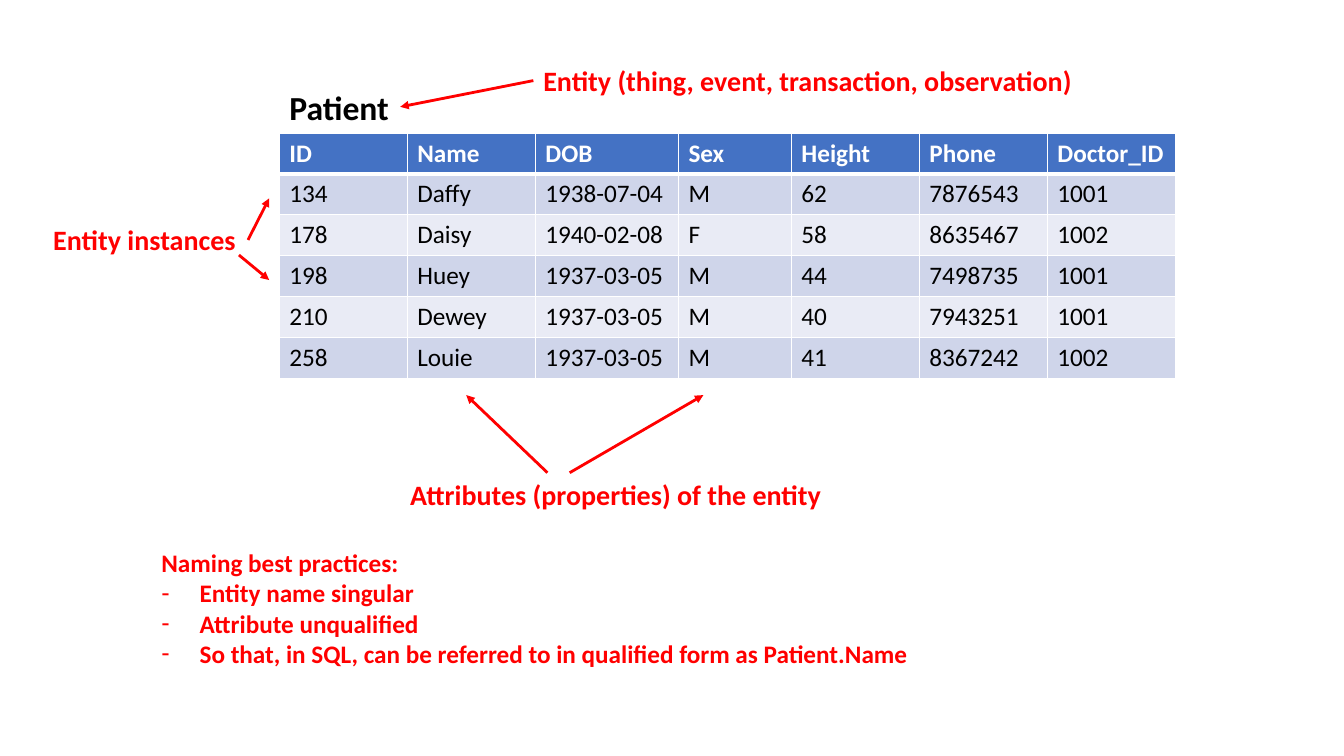
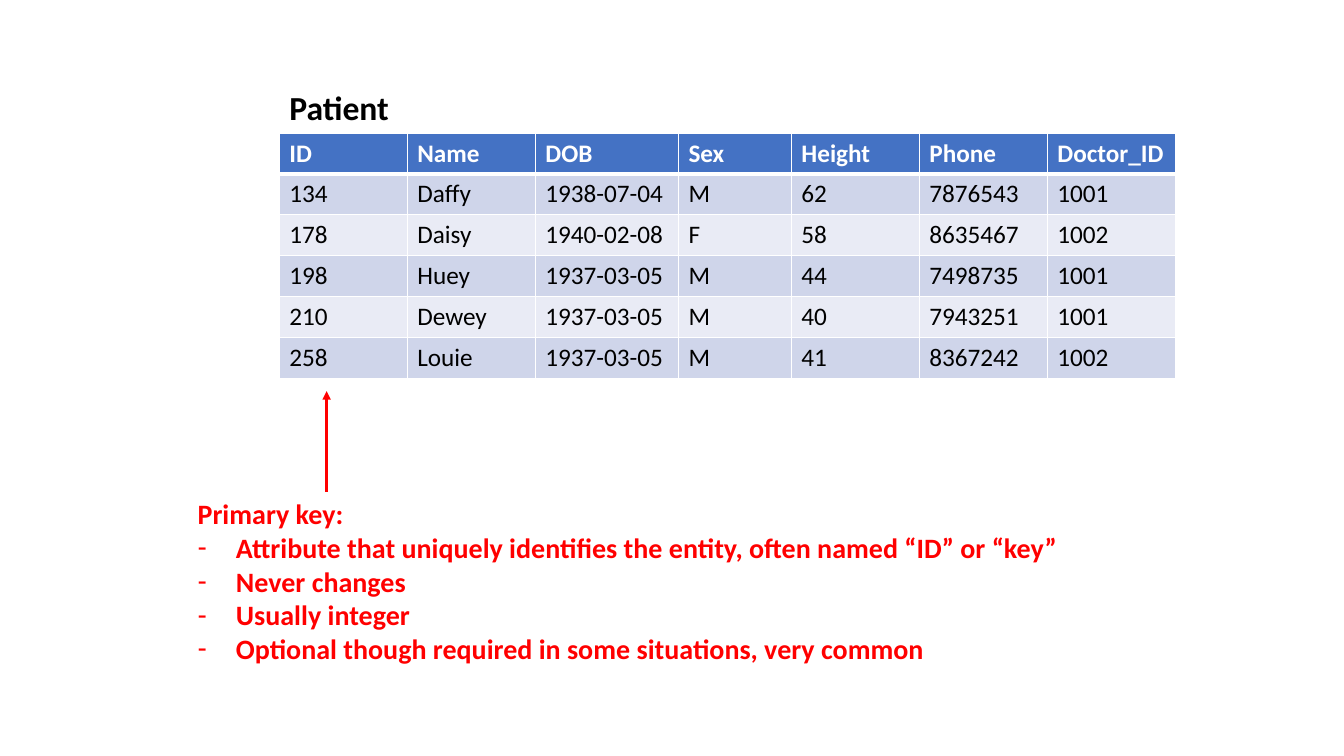
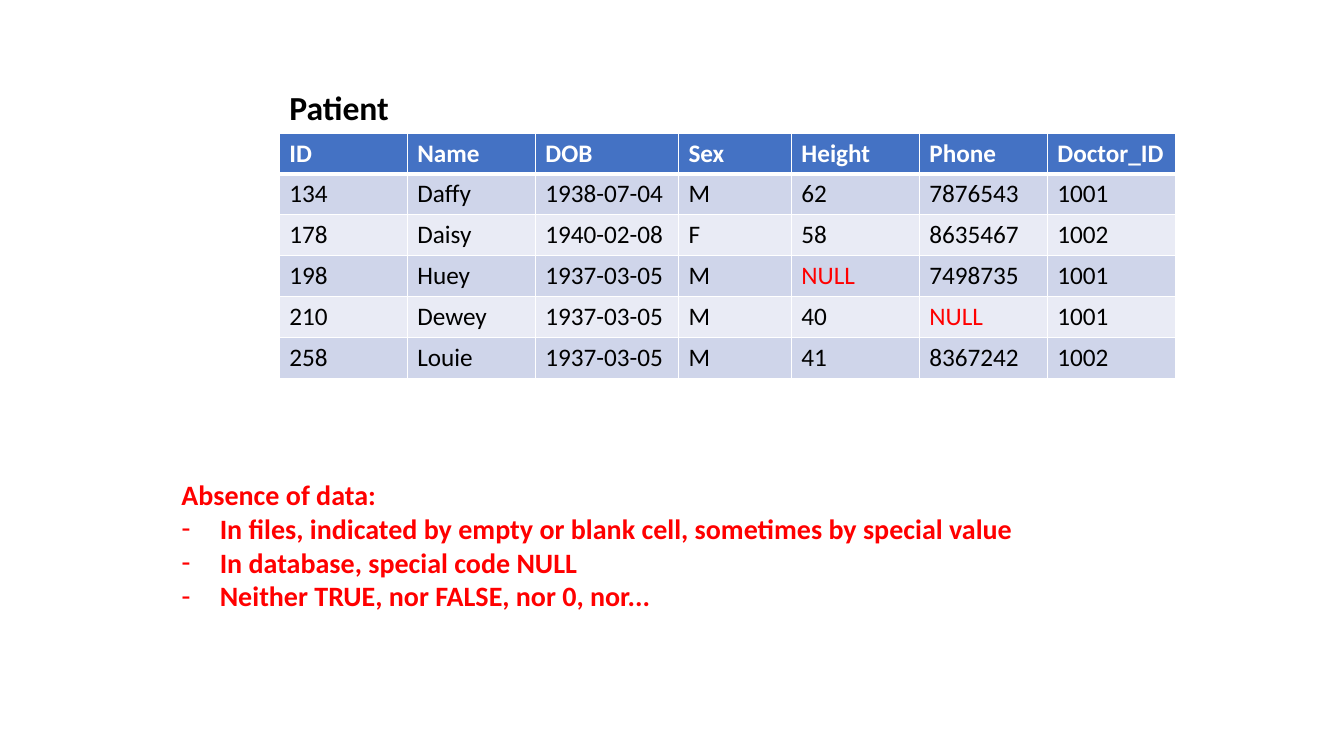
from dataclasses import dataclass

from lxml.etree import SubElement
from pptx import Presentation
from pptx.dml.color import RGBColor
from pptx.enum.shapes import MSO_CONNECTOR
from pptx.enum.text import MSO_ANCHOR, MSO_AUTO_SIZE, PP_ALIGN
from pptx.oxml.ns import qn
from pptx.util import Inches, Pt

FONT = "Calibri"
BLACK, WHITE, RED = "000000", "FFFFFF", "FF0000"
HEADER_FILL = "4472C4"
BAND_FILLS = ("CFD5EA", "E9EBF5")
LIST_INDENT = 0.38

COLUMN_WIDTHS = (1.27, 1.27, 1.42, 1.12, 1.27, 1.27, 1.27)
PATIENTS = (
    ("ID", "Name", "DOB", "Sex", "Height", "Phone", "Doctor_ID"),
    ("134", "Daffy", "1938-07-04", "M", "62", "7876543", "1001"),
    ("178", "Daisy", "1940-02-08", "F", "58", "8635467", "1002"),
    ("198", "Huey", "1937-03-05", "M", "44", "7498735", "1001"),
    ("210", "Dewey", "1937-03-05", "M", "40", "7943251", "1001"),
    ("258", "Louie", "1937-03-05", "M", "41", "8367242", "1002"),
)


@dataclass(frozen=True)
class Box:
    left: float
    top: float
    width: float
    height: float

    @property
    def right(self):
        return self.left + self.width

    @property
    def bottom(self):
        return self.top + self.height

    def lengths(self):
        return [Inches(n) for n in (self.left, self.top, self.width, self.height)]


TABLE = Box(2.77, 1.32, sum(COLUMN_WIDTHS), 2.43)
ROW_HEIGHT = TABLE.height / len(PATIENTS)
TITLE = Box(TABLE.left, 0.81, 1.2, 0.5)


def color(hex_string):
    return RGBColor.from_string(hex_string)


def column_x(name, share):
    index = PATIENTS[0].index(name)
    return TABLE.left + sum(COLUMN_WIDTHS[:index]) + share * COLUMN_WIDTHS[index]


def row_y(row, share):
    return TABLE.top + (row + share) * ROW_HEIGHT


def add_run(paragraph, text, size, hex_string, bold=True):
    run = paragraph.add_run()
    run.text = text
    run.font.name = FONT
    run.font.size = Pt(size)
    run.font.bold = bold
    run.font.color.rgb = color(hex_string)


def place(shape, box, wrap):
    shape.left, shape.top, shape.width, shape.height = box.lengths()
    frame = shape.text_frame
    frame.word_wrap = wrap
    frame.auto_size = MSO_AUTO_SIZE.NONE
    frame.vertical_anchor = MSO_ANCHOR.TOP
    frame.paragraphs[0].alignment = PP_ALIGN.LEFT
    return frame


def set_borders(cell, row):
    widths = {"L": 1, "R": 1, "T": 3 if row == 1 else 1, "B": 3 if row == 0 else 1}
    properties = cell._tc.get_or_add_tcPr()
    for side, width in widths.items():
        line = SubElement(properties, qn(f"a:ln{side}"), w=str(Pt(width)))
        fill = SubElement(line, qn("a:solidFill"))
        SubElement(fill, qn("a:srgbClr"), val=WHITE)


def add_patient_table(slide, box, missing=()):
    table = slide.shapes.add_table(len(PATIENTS), len(COLUMN_WIDTHS), *box.lengths()).table
    for column, width in zip(table.columns, COLUMN_WIDTHS):
        column.width = Inches(width)
    for row, values in enumerate(PATIENTS):
        table.rows[row].height = Inches(box.height / len(PATIENTS))
        header = row == 0
        fill = HEADER_FILL if header else BAND_FILLS[(row - 1) % 2]
        for column, value in enumerate(values):
            cell = table.cell(row, column)
            set_borders(cell, row)
            cell.fill.solid()
            cell.fill.fore_color.rgb = color(fill)
            text_color = WHITE if header else BLACK
            if (values[0], PATIENTS[0][column]) in missing:
                value, text_color = "NULL", RED
            add_run(cell.text_frame.paragraphs[0], value, 18, text_color, header)


def add_label(slide, box, text):
    shape = slide.shapes.add_textbox(*box.lengths())
    add_run(place(shape, box, False).paragraphs[0], text, 20, RED)


def add_arrow(slide, start, end):
    points = [Inches(n) for n in (*start, *end)]
    arrow = slide.shapes.add_connector(MSO_CONNECTOR.STRAIGHT, *points)
    arrow.line.color.rgb = color(RED)
    arrow.line.width = Pt(2)
    properties = arrow._element.spPr
    SubElement(properties.find(qn("a:ln")), qn("a:tailEnd"), type="triangle")
    SubElement(properties, qn("a:effectLst"))


def fill_list(slide, box, size, heading, items):
    frame = place(slide.placeholders[1], box, True)
    for index, text in enumerate((heading, *items)):
        paragraph = frame.add_paragraph() if index else frame.paragraphs[0]
        paragraph.space_before = Pt(0)
        properties = paragraph._p.get_or_add_pPr()
        indent = Inches(LIST_INDENT) if index else 0
        properties.set("marL", str(indent))
        properties.set("indent", str(-indent))
        if index:
            SubElement(properties, qn("a:buFontTx"))
            SubElement(properties, qn("a:buChar"), char="-")
        else:
            SubElement(properties, qn("a:buNone"))
        add_run(paragraph, text, size, RED)


def add_patient_slide(presentation, missing=()):
    slide = presentation.slides.add_slide(presentation.slide_layouts[1])
    frame = place(slide.shapes.title, TITLE, False)
    add_run(frame.paragraphs[0], "Patient", 24, BLACK)
    add_patient_table(slide, TABLE, missing)
    return slide


def add_entity_slide(presentation):
    slide = add_patient_slide(presentation)
    entity = Box(5.29, 0.58, 5.49, 0.44)
    instances = Box(0.43, 2.16, 2.03, 0.44)
    attributes = Box(3.97, 4.69, 4.32, 0.44)
    add_label(slide, entity, "Entity (thing, event, transaction, observation)")
    add_label(slide, instances, "Entity instances")
    add_label(slide, attributes, "Attributes (properties) of the entity")

    row_x = TABLE.left - 0.1
    attribute_y = TABLE.bottom + 0.17
    arrows = (
        ((entity.left, entity.top + entity.height / 2), (TITLE.right, TITLE.top + TITLE.height / 2)),
        ((instances.right, instances.top + instances.height / 2), (row_x, row_y(1, 0.6))),
        ((instances.right - 0.09, instances.bottom - 0.07), (row_x, row_y(3, 0.6))),
        ((5.43, attributes.top), (column_x("Name", 0.46), attribute_y)),
        ((5.65, attributes.top), (column_x("Sex", 0.22), attribute_y)),
    )
    for start, end in arrows:
        add_arrow(slide, start, end)

    fill_list(slide, Box(1.5, 5.38, 7.84, 1.31), 18, "Naming best practices:", (
        "Entity name singular",
        "Attribute unqualified",
        "So that, in SQL, can be referred to in qualified form as Patient.Name",
    ))


def add_primary_key_slide(presentation):
    slide = add_patient_slide(presentation)
    notes = Box(1.86, 4.88, 8.82, 1.78)
    fill_list(slide, notes, 20, "Primary key:", (
        "Attribute that uniquely identifies the entity, often named “ID” or “key”",
        "Never changes",
        "Usually integer",
        "Optional though required in some situations, very common",
    ))
    key_x = column_x("ID", 0.37)
    add_arrow(slide, (key_x, notes.top), (key_x, notes.top - 1))


def add_absence_slide(presentation):
    slide = add_patient_slide(presentation, {("198", "Height"), ("210", "Phone")})
    fill_list(slide, Box(1.7, 4.69, 8.51, 1.45), 20, "Absence of data:", (
        "In files, indicated by empty or blank cell, sometimes by special value",
        "In database, special code NULL",
        "Neither TRUE, nor FALSE, nor 0, nor...",
    ))


def main():
    presentation = Presentation()
    presentation.slide_width = Inches(13.33)
    presentation.slide_height = Inches(7.5)
    add_entity_slide(presentation)
    add_primary_key_slide(presentation)
    add_absence_slide(presentation)
    presentation.save("out.pptx")


if __name__ == "__main__":
    main()
